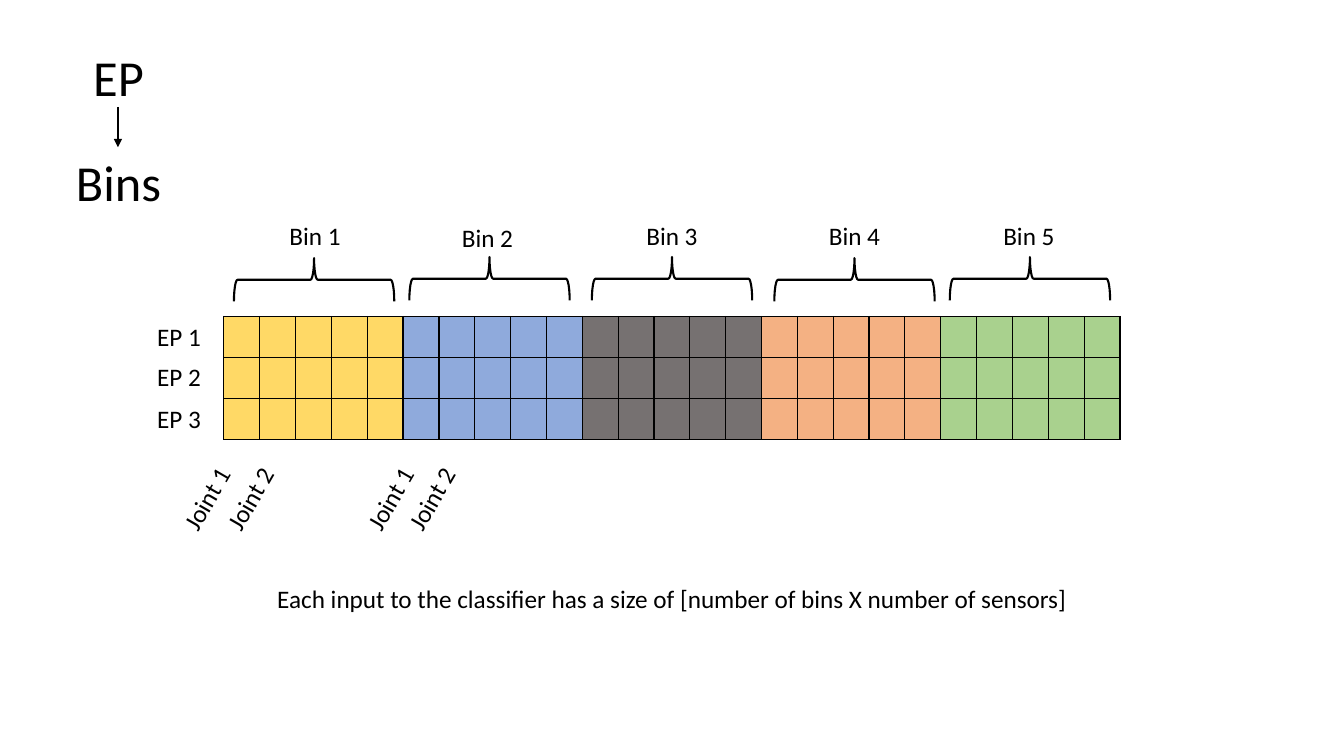
import lxml.etree
import pptx
import pptx.dml.color
import pptx.enum.shapes
import pptx.enum.text
import pptx.oxml.ns
import pptx.util

COLOURS = {
    "ink": "000000",
    "yellow": "FFD966",
    "blue": "8FAADC",
    "grey": "767171",
    "orange": "F4B183",
    "green": "A9D18E",
}
BIN_COLOURS = ["yellow", "blue", "grey", "orange", "green"]
JOINTS_PER_BIN = 5
EP_COUNT = 3
TABLE_LEFT, TABLE_TOP, TABLE_WIDTH, TABLE_HEIGHT = 222, 314, 889, 122
BRACE_WIDTH, BRACE_HEIGHT = 43, 159
BIN_LABELS = [(274, 214), (445, 216), (628, 214), (809, 214), (982, 214)]
BRACES = [(290, 198), (464, 197), (645, 197), (826, 198), (1000, 197)]
JOINT_LABELS = [(160, 1), (203, 2), (342, 1), (383, 2)]


class SlideBuilder:
    """Draws styled elements on one slide, with lengths in px of 1/100 inch."""

    scale = 9144
    font = "Calibri"

    def __init__(self, presentation):
        self.slide = presentation.slides.add_slide(presentation.slide_layouts[6])

    def emu(self, *lengths):
        return [pptx.util.Emu(length * self.scale) for length in lengths]

    def colour(self, name):
        return pptx.dml.color.RGBColor.from_string(COLOURS[name])

    def text(self, words, left, top, width, height=40, size=18, centred=True, rotation=0):
        shape = self.slide.shapes.add_textbox(*self.emu(left, top, width, height))
        shape.rotation = rotation
        frame = shape.text_frame
        frame.text = words
        frame.word_wrap = True
        frame.auto_size = pptx.enum.text.MSO_AUTO_SIZE.SHAPE_TO_FIT_TEXT
        paragraph = frame.paragraphs[0]
        alignment = pptx.enum.text.PP_ALIGN
        paragraph.alignment = alignment.CENTER if centred else alignment.LEFT
        font = paragraph.runs[0].font
        font.name = self.font
        font.size = pptx.util.Pt(size)
        font.color.rgb = self.colour("ink")

    def arrow(self, start_x, start_y, end_x, end_y):
        connector = self.slide.shapes.add_connector(
            pptx.enum.shapes.MSO_CONNECTOR.STRAIGHT,
            *self.emu(start_x, start_y, end_x, end_y),
        )
        connector.line.color.rgb = self.colour("ink")
        connector.line.width = pptx.util.Pt(1)
        qn = pptx.oxml.ns.qn
        properties = connector._element.spPr
        line = properties.find(qn("a:ln"))
        lxml.etree.SubElement(line, qn("a:tailEnd"), type="triangle")
        lxml.etree.SubElement(properties, qn("a:effectLst"))

    def brace(self, left, top):
        shape = self.slide.shapes.add_shape(
            pptx.enum.shapes.MSO_SHAPE.RIGHT_BRACE,
            *self.emu(left, top, BRACE_WIDTH, BRACE_HEIGHT),
        )
        shape.rotation = 270
        shape.shadow.inherit = False
        shape.fill.background()
        shape.line.color.rgb = self.colour("ink")
        shape.line.width = pptx.util.Pt(1.5)

    def cell_borders(self, cell):
        qn = pptx.oxml.ns.qn
        properties = cell._tc.get_or_add_tcPr()
        for position, side in enumerate(("lnL", "lnR", "lnT", "lnB")):
            border = lxml.etree.Element(qn(f"a:{side}"), w=str(pptx.util.Pt(1)))
            fill = lxml.etree.SubElement(border, qn("a:solidFill"))
            lxml.etree.SubElement(fill, qn("a:srgbClr"), val=COLOURS["ink"])
            properties.insert(position, border)

    def grid(self, left, top, width, height, rows, column_colours):
        table = self.slide.shapes.add_table(
            rows, len(column_colours), *self.emu(left, top, width, height)
        ).table
        table.first_row = False
        table.horz_banding = False
        for row in table.rows:
            for cell, name in zip(row.cells, column_colours):
                cell.fill.solid()
                cell.fill.fore_color.rgb = self.colour(name)
                self.cell_borders(cell)


def main():
    presentation = pptx.Presentation()
    builder = SlideBuilder(presentation)
    presentation.slide_width, presentation.slide_height = builder.emu(1333, 750)

    builder.text("EP", 55, 41, 125, 71, size=36)
    builder.text("Bins", 55, 145, 125, 71, size=36)
    builder.arrow(117, 106, 117, 146)

    column_colours = [name for name in BIN_COLOURS for _ in range(JOINTS_PER_BIN)]
    builder.grid(TABLE_LEFT, TABLE_TOP, TABLE_WIDTH, TABLE_HEIGHT, EP_COUNT, column_colours)
    for row in range(EP_COUNT):
        top = TABLE_TOP + row * TABLE_HEIGHT // EP_COUNT
        builder.text(f"EP {row + 1}", 146, top, 67, centred=False)

    for number, (label, brace) in enumerate(zip(BIN_LABELS, BRACES), start=1):
        builder.text(f"Bin {number}", *label, 77)
        builder.brace(*brace)

    for left, number in JOINT_LABELS:
        builder.text(f"Joint {number}", left, 472, 92, centred=False, rotation=300)

    builder.text(
        "Each input to the classifier has a size of [number of bins X number of sensors]",
        TABLE_LEFT, 574, TABLE_WIDTH,
    )
    presentation.save("out.pptx")


if __name__ == "__main__":
    main()
